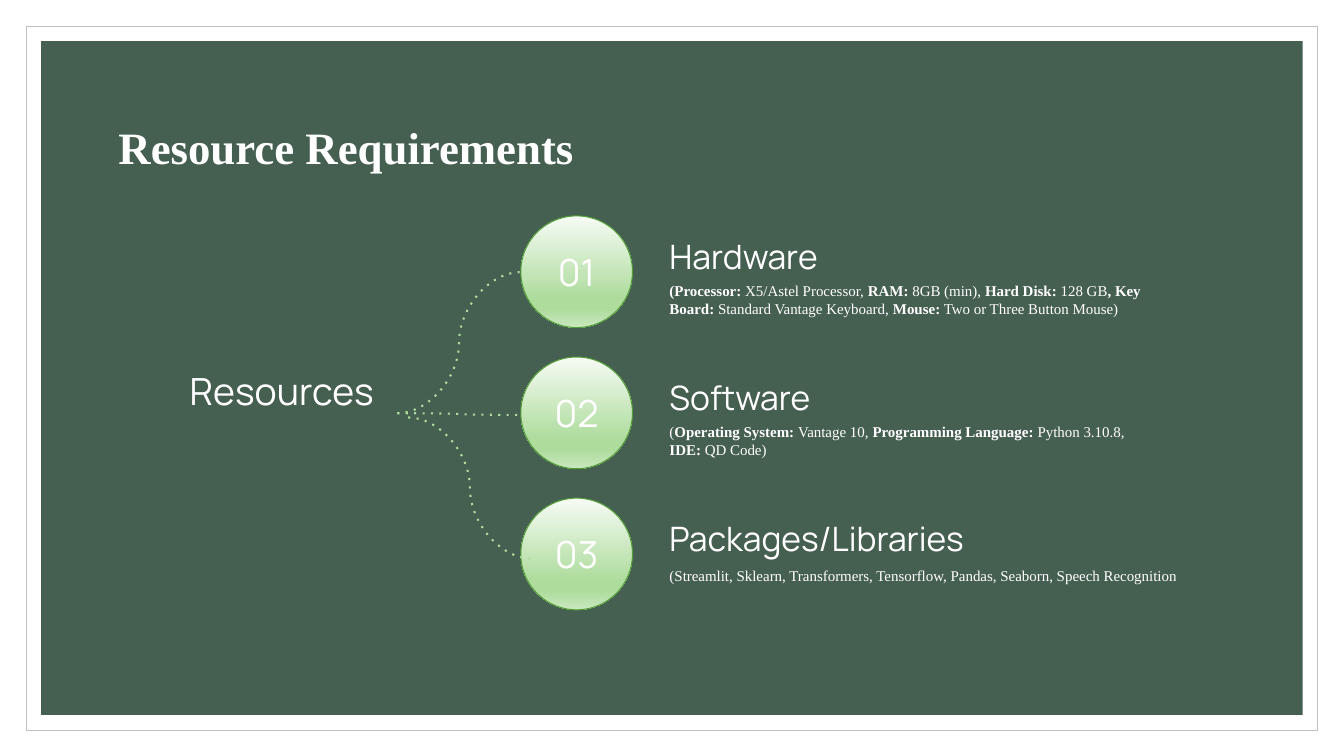
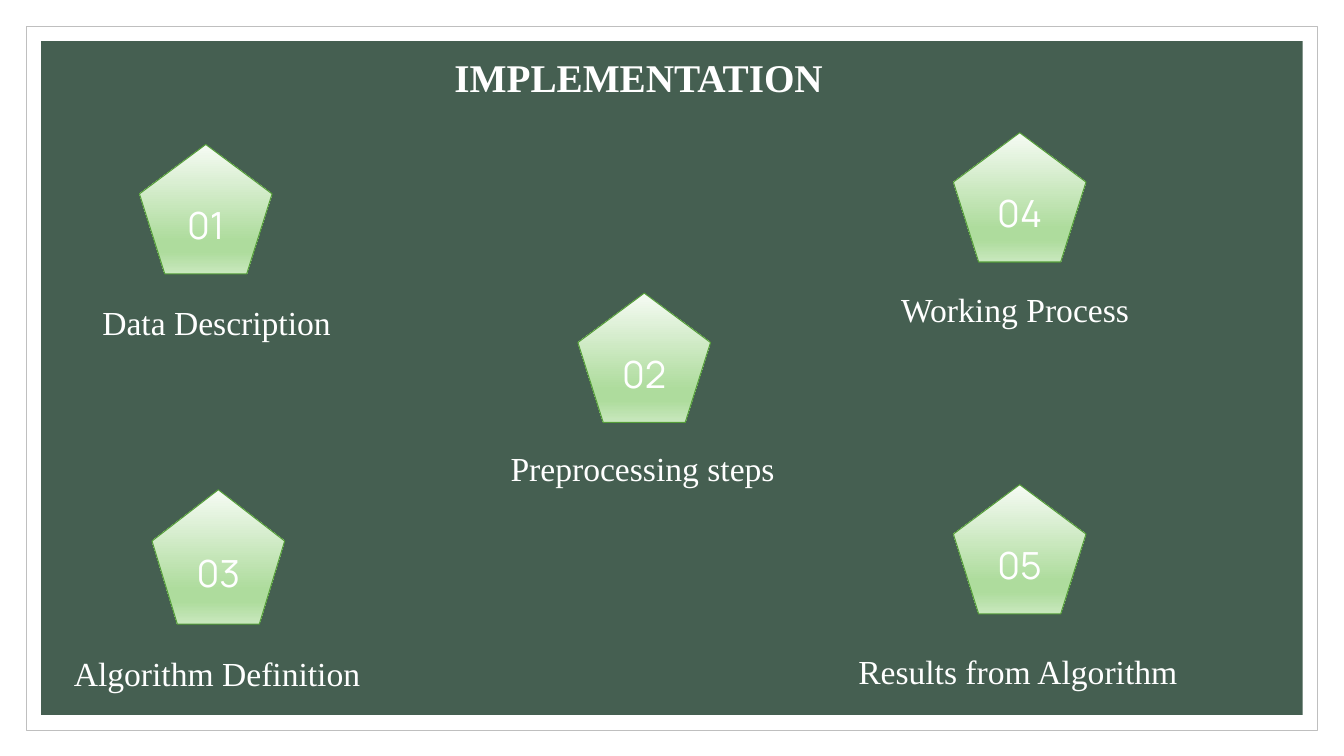
from lxml.etree import SubElement
from pptx import Presentation
from pptx.dml.color import RGBColor
from pptx.enum.dml import MSO_LINE
from pptx.enum.shapes import MSO_CONNECTOR, MSO_SHAPE
from pptx.enum.text import MSO_ANCHOR, MSO_AUTO_SIZE, PP_ALIGN
from pptx.oxml.ns import qn
from pptx.util import Inches, Pt

# Grid: 160 columns by 90 rows of square cells
CELL = Inches(1) // 12
PAD = round(1.6 * CELL)
WHITE, GREEN, LEAF, EDGE, GREY = "FFFFFF", "455F51", "AEDC9D", "549E39", "BFBFBF"
FADE = [(0, "F6FBF4"), (74, LEAF), (83, LEAF), (100, "C9E8BE")]
SERIF, SANS = "Times New Roman", "Manrope"
hue = RGBColor.from_string


def add(slide, box, kind=None):
    """Add a shape, or a text box when no kind is given."""
    area = [round(n * CELL) for n in box]
    if kind is None:
        return slide.shapes.add_textbox(*area)
    shape = slide.shapes.add_shape(kind, *area)
    shape.shadow.inherit = False
    return shape


def write(shape, text, size, font=SERIF, gap=1.0, align=PP_ALIGN.LEFT,
          anchor=MSO_ANCHOR.TOP, pad=True, wrap=True):
    """Fill one paragraph; parts between asterisks are bold."""
    frame = shape.text_frame
    frame.auto_size = MSO_AUTO_SIZE.NONE
    frame.word_wrap = wrap
    frame.vertical_anchor = anchor
    if pad:
        frame.margin_left = frame.margin_right = PAD
        frame.margin_top = frame.margin_bottom = PAD
    para = frame.paragraphs[0]
    para.alignment = align
    para.line_spacing = gap
    for i, part in enumerate(text.split("*")):
        if part:
            run = para.add_run()
            run.text = part
            run.font.name = font
            run.font.size = Pt(size)
            run.font.bold = i % 2 == 1
            run.font.color.rgb = hue(WHITE)


deck = Presentation()
deck.slide_width, deck.slide_height = 160 * CELL, 90 * CELL
layout = deck.slide_layouts[5]
needs = deck.slides.add_slide(layout)
steps = deck.slides.add_slide(layout)

# Shared frame and panel, kept on the layout
for i, (inset, fill, edge) in enumerate([(3.1, WHITE, GREY), (4.9, GREEN, None)]):
    box = (inset, inset, 160 - 2 * inset, 90 - 2 * inset)
    rect = add(needs, box, MSO_SHAPE.RECTANGLE)
    rect.fill.solid()
    rect.fill.fore_color.rgb = hue(fill)
    if edge:
        rect.line.color.rgb = hue(edge)
        rect.line.width = Pt(0.5)
    else:
        rect.line.fill.background()
    layout.shapes.element.insert(2 + i, rect.element)

# Titles
titles = [
    (needs, (12.5, 9.4, 135, 12.5), "*Resource Requirements*", 32, 1.5, MSO_ANCHOR.TOP, True),
    (steps, (52.9, 4.9, 52.3, 9.2), "*IMPLEMENTATION*", 28, 0.9, MSO_ANCHOR.MIDDLE, False),
]
for slide, box, text, size, gap, anchor, pad in titles:
    title = slide.shapes.title
    title.left, title.top, title.width, title.height = [round(n * CELL) for n in box]
    write(title, text, size, gap=gap, anchor=anchor, pad=pad)

# Resource rows
write(add(needs, (19.8, 41.4, 27.5, 15.5)), "Resources", 26.7, SANS, 1.15, PP_ALIGN.CENTER)
rows = [
    ("Hardware", "*(Processor: *X5/Astel Processor, *RAM:* 8GB (min), *Hard Disk: *128 GB"
     "*, Key Board:* Standard Vantage Keyboard, *Mouse:* Two or Three Button Mouse)", 59.9, 1),
    ("Software", "(*Operating System: *Vantage 10, *Programming Language: *Python 3.10.8, "
     "*IDE: *QD Code)", 59.9, 1),
    ("Packages/Libraries", "(Streamlit, Sklearn, Transformers, Tensorflow, Pandas, Seaborn, "
     "Speech Recognition", 65.9, 1.15),
]
badges = []
for i, (head, body, width, gap) in enumerate(rows):
    top = 25.6 + 16.8 * i
    badges.append((needs, MSO_SHAPE.OVAL, i + 1, (62, top + 0.1, 13.3, 13.3)))
    write(add(needs, (78.1, top - 0.2, 59.9, 9.1)), head, 24, SANS, 1.15,
          anchor=MSO_ANCHOR.BOTTOM)
    write(add(needs, (78.1, top + 6.3, width, 6.7)), body, 10.7, gap=gap)

# Implementation steps: pentagon place and height, label place and width
parts = [
    ("Data Description", 16.6, 17.2, 15.4, 11, 34.6, 29.9),
    ("Preprocessing steps", 68.8, 34.9, 15.4, 59.6, 52, 34.2),
    ("Algorithm Definition", 18.1, 58.3, 16, 7.6, 76.4, 36.8),
    ("Working Process", 113.5, 15.8, 15.4, 106.1, 33.1, 30.8),
    ("Results from Algorithm", 113.5, 57.7, 15.4, 101, 76.2, 40.8),
]
for i, (name, x, y, tall, left, top, width) in enumerate(parts):
    badges.append((steps, MSO_SHAPE.REGULAR_PENTAGON, i + 1, (x, y, 15.8, tall)))
    write(add(steps, (left, top, width, 6.4)), name, 24, gap=1.15, pad=False, wrap=False)

# Numbered badges of both slides
for slide, kind, num, box in badges:
    badge = add(slide, box, kind)
    badge.fill.gradient()
    badge.fill.gradient_angle = 270
    stops = badge.element.spPr.find(".//" + qn("a:gsLst"))
    for stop in list(stops):
        stops.remove(stop)
    for pos, tone in FADE:
        stop = SubElement(stops, qn("a:gs"), pos=str(pos * 1000))
        SubElement(stop, qn("a:srgbClr"), val=tone)
    badge.line.color.rgb = hue(EDGE)
    badge.line.width = Pt(0.75)
    write(badge, f"{num:02d}", 26.7, SANS, align=PP_ALIGN.CENTER, anchor=MSO_ANCHOR.MIDDLE)

# Dotted curves from the resources to the badges
for ends in [(47.3, 49.2, 62, 32.4), (47.3, 49.2, 62, 49.4), (48.6, 49.7, 63.3, 66.5)]:
    curve = needs.shapes.add_connector(MSO_CONNECTOR.CURVE, *[round(n * CELL) for n in ends])
    curve.line.color.rgb = hue(LEAF)
    curve.line.width = Pt(1.5)
    curve.line.dash_style = MSO_LINE.ROUND_DOT
    look = curve.element.spPr
    look.find(".//" + qn("a:prstDash")).set("val", "dot")
    SubElement(look, qn("a:effectLst"))

deck.save("out.pptx")
